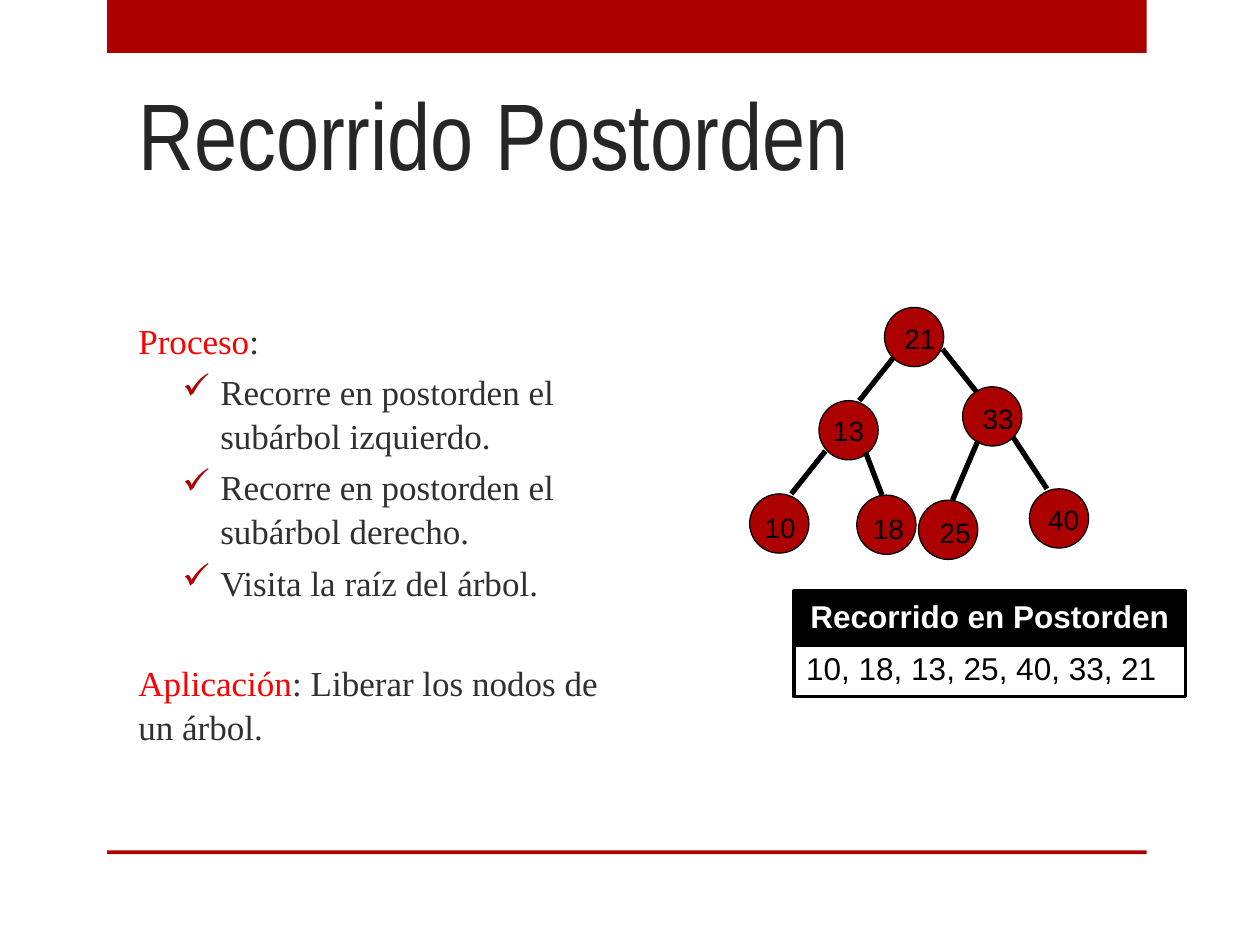
from dataclasses import dataclass

from lxml import etree
from pptx import Presentation
from pptx.dml.color import RGBColor
from pptx.enum.shapes import MSO_CONNECTOR, MSO_SHAPE
from pptx.enum.text import MSO_ANCHOR, PP_ALIGN
from pptx.oxml.ns import qn
from pptx.util import Inches, Pt

RECTANGLE, OVAL = MSO_SHAPE.RECTANGLE, MSO_SHAPE.OVAL
STRAIGHT = MSO_CONNECTOR.STRAIGHT
TOP, MIDDLE, BOTTOM = MSO_ANCHOR.TOP, MSO_ANCHOR.MIDDLE, MSO_ANCHOR.BOTTOM
LEFT, CENTER = PP_ALIGN.LEFT, PP_ALIGN.CENTER


@dataclass(frozen=True)
class Theme:
    accent: str = "AD0101"
    highlight: str = "FF0000"
    title: str = "262626"
    body: str = "303030"
    black: str = "000000"
    white: str = "FFFFFF"
    title_font: str = "Arial Narrow"
    body_font: str = "Times New Roman"
    tree_font: str = "Arial"
    title_size: int = 54
    body_size: int = 20
    node_size: int = 16
    result_size: int = 18


THEME = Theme()
NODE_DIAMETER = 0.47

# Value, circle position, label position (None centres the label in the circle)
NODES = [
    ("21", (7.02, 2.44), (7.08, 2.5)),
    ("13", (6.5, 3.18), None),
    ("33", (7.64, 3.07), (7.7, 3.14)),
    ("10", (5.95, 3.92), (5.97, 4)),
    ("18", (6.8, 3.93), (6.83, 4.01)),
    ("25", (7.29, 3.97), (7.36, 4.04)),
    ("40", (8.17, 3.88), (8.22, 3.94)),
]
EDGES = [
    ((7.09, 2.84), (6.82, 3.18)),
    ((6.55, 3.58), (6.28, 3.92)),
    ((7.48, 2.77), (7.75, 3.11)),
    ((8.04, 3.47), (8.31, 3.88)),
    ((6.87, 3.59), (7, 3.93)),
    ((7.76, 3.5), (7.56, 3.97)),
]
STEPS = [
    "Recorre en postorden el subárbol izquierdo.",
    "Recorre en postorden el subárbol derecho.",
    "Visita la raíz del árbol.",
]


def format_run(run, font, size, color, bold=False):
    run.font.name = font
    run.font.size = Pt(size)
    run.font.color.rgb = RGBColor.from_string(color)
    run.font.bold = bold


def set_text(shape, text, font, size, color, anchor=TOP, align=LEFT, bold=False, wrap=True):
    frame = shape.text_frame
    frame.text = text
    frame.word_wrap = wrap
    frame.vertical_anchor = anchor
    paragraph = frame.paragraphs[0]
    paragraph.alignment = align
    format_run(paragraph.runs[0], font, size, color, bold)


def add_box(slide, left, top, width, height):
    return slide.shapes.add_textbox(Inches(left), Inches(top), Inches(width), Inches(height))


def add_shape(slide, kind, left, top, width, height, fill=None, line_width=0):
    shape = slide.shapes.add_shape(
        kind, Inches(left), Inches(top), Inches(width), Inches(height))
    shape.shadow.inherit = False
    if fill:
        shape.fill.solid()
        shape.fill.fore_color.rgb = RGBColor.from_string(fill)
    else:
        shape.fill.background()
    if line_width:
        shape.line.color.rgb = RGBColor.from_string(THEME.black)
        shape.line.width = Pt(line_width)
    else:
        shape.line.fill.background()
    return shape


def add_edge(slide, start, end):
    edge = slide.shapes.add_connector(STRAIGHT, *(Inches(value) for value in start + end))
    edge.line.color.rgb = RGBColor.from_string(THEME.black)
    edge.line.width = Pt(3)
    etree.SubElement(edge._element.spPr, qn("a:effectLst"))


def add_check_bullet(paragraph):
    properties = paragraph._p.get_or_add_pPr()
    properties.set("marL", str(Inches(0.65)))
    properties.set("indent", str(Inches(-0.3)))
    color = etree.SubElement(properties, qn("a:buClr"))
    etree.SubElement(color, qn("a:srgbClr"), val=THEME.accent)
    etree.SubElement(properties, qn("a:buChar"), char="✓")


def add_paragraph(frame, parts, space_before=4, bullet=False):
    """Write (text, color) parts as one body paragraph."""
    paragraph = frame.paragraphs[0]
    if paragraph.runs:
        paragraph = frame.add_paragraph()
    paragraph.space_before = Pt(space_before)
    paragraph.line_spacing = 1.05
    for text, color in parts:
        run = paragraph.add_run()
        run.text = text
        format_run(run, THEME.body_font, THEME.body_size, color)
    if bullet:
        add_check_bullet(paragraph)


def add_process(slide):
    frame = add_box(slide, 1, 1.75, 4.16, 4.95).text_frame
    frame.word_wrap = True
    frame.vertical_anchor = MIDDLE
    add_paragraph(frame, [("Proceso", THEME.highlight), (":", THEME.body)])
    for step in STEPS:
        add_paragraph(frame, [(step, THEME.body)], bullet=True)
    add_paragraph(frame, [("Aplicación", THEME.highlight),
                          (": Liberar los nodos de un árbol.", THEME.body)], space_before=32)


def add_tree(slide):
    label_style = (THEME.tree_font, THEME.node_size, THEME.black)
    circles = [add_shape(slide, OVAL, *position, NODE_DIAMETER, NODE_DIAMETER,
                         THEME.accent, 0.75) for _, position, _ in NODES]
    for start, end in EDGES:
        add_edge(slide, start, end)
    for circle, (value, _, label_position) in zip(circles, NODES):
        if label_position:
            set_text(add_box(slide, *label_position, 0.54, 0.37), value, *label_style)
        else:
            set_text(circle, value, *label_style, anchor=MIDDLE, align=CENTER, wrap=False)


def add_result(slide):
    result = add_shape(slide, RECTANGLE, 6.3, 5.1, 3.11, 0.43, line_width=2)
    set_text(result, "10, 18, 13, 25, 40, 33, 21",
             THEME.tree_font, THEME.result_size, THEME.black)
    heading = add_shape(slide, RECTANGLE, 6.3, 4.69, 3.11, 0.43, THEME.black, 2)
    set_text(heading, "Recorrido en Postorden", THEME.tree_font, THEME.result_size,
             THEME.white, align=CENTER, bold=True)


def main():
    presentation = Presentation()
    presentation.slide_width, presentation.slide_height = Inches(10), Inches(7.5)
    slide = presentation.slides.add_slide(presentation.slide_layouts[6])

    # Frame bars and title
    for top, height in ((0, 0.42), (6.75, 0.03)):
        add_shape(slide, RECTANGLE, 0.85, top, 8.25, height, THEME.accent)
    set_text(add_box(slide, 1, 0.3, 8.5, 1.25), "Recorrido Postorden",
             THEME.title_font, THEME.title_size, THEME.title, anchor=BOTTOM)

    # Explanation, tree and its traversal
    add_process(slide)
    add_tree(slide)
    add_result(slide)
    presentation.save("out.pptx")


if __name__ == "__main__":
    main()
